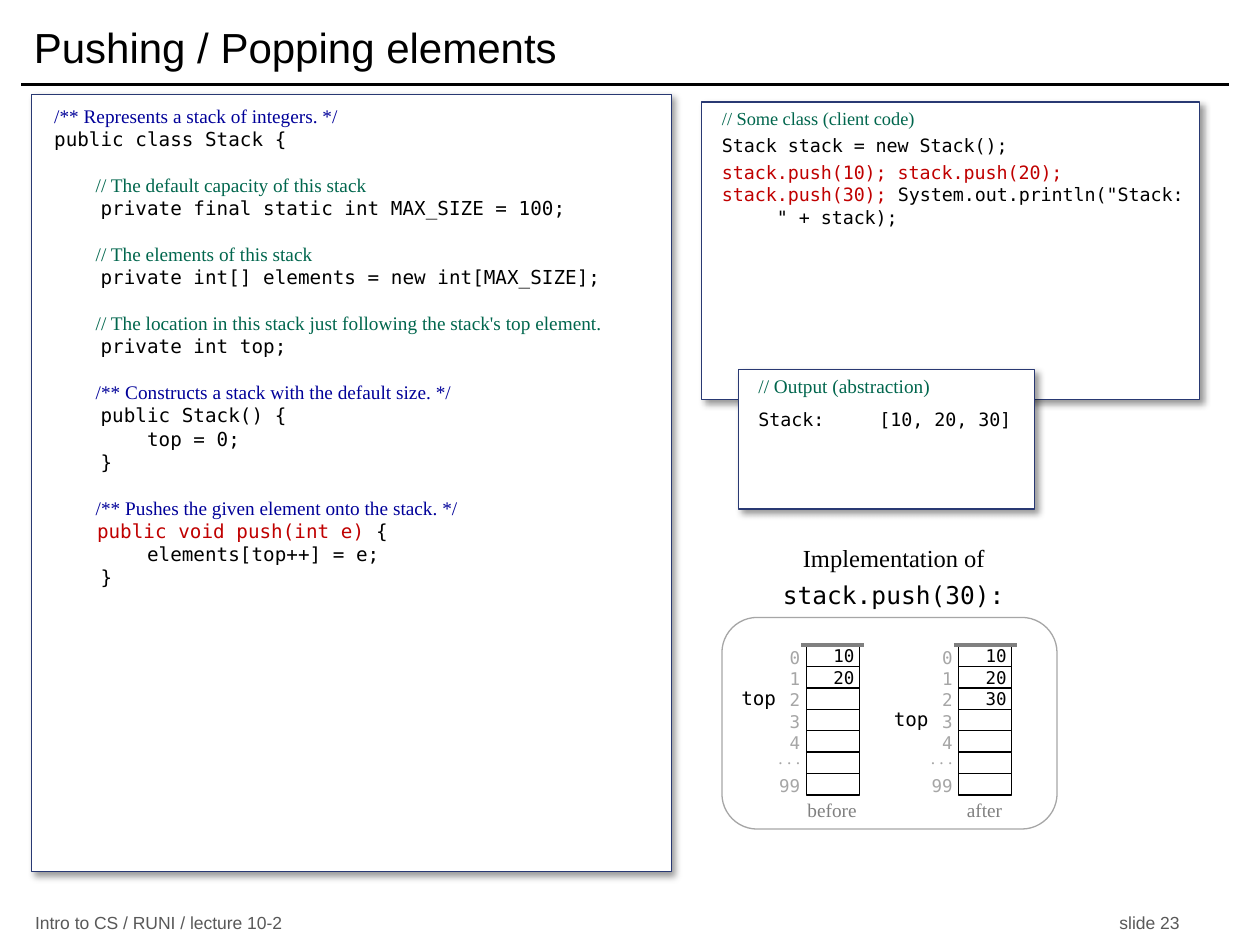
from dataclasses import dataclass
from lxml import etree
from pptx import Presentation
from pptx.dml.color import RGBColor as RGB
from pptx.enum.shapes import MSO_CONNECTOR as Conn, MSO_SHAPE as Kind
from pptx.enum.text import MSO_ANCHOR as Anchor, PP_ALIGN as Align
from pptx.oxml.ns import qn
from pptx.util import Inches, Pt


@dataclass(frozen=True)
class Theme:
    sans: str = "Arial"
    serif: str = "Times New Roman"
    mono: str = "DejaVu Sans Mono"
    black: str = "000000"
    white: str = "FFFFFF"
    navy: str = "293973"
    blue: str = "000099"
    green: str = "00664D"
    red: str = "C00000"
    dark: str = "595959"
    gray: str = "808080"
    pale: str = "A6A6A6"
    title: float = 24
    head: float = 14
    body: float = 11
    code: float = 10.5
    small: float = 10


@dataclass
class Line:
    runs: list
    font: str
    size: float
    gap: float = 0
    left: float = 0
    tab: float = 0


T = Theme()


def mono(text, tone=T.black, size=T.body, **more):
    return Line([(text, tone)], T.mono, size, **more)


def note(text, tone=T.green, size=T.body, **more):
    return Line([(text, tone)], T.serif, size, **more)


class Deck:
    """Holds the theme and the slide being drawn."""

    def __init__(self, theme):
        self.theme = theme
        self.file = Presentation()
        self.file.slide_width, self.file.slide_height = Inches(10), Inches(7.5)
        self.slide = self.file.slides.add_slide(self.file.slide_layouts[6])

    def label(self, shape, lines, pad, align=Align.LEFT, anchor=Anchor.TOP):
        frame = shape.text_frame
        frame.word_wrap = True
        frame.vertical_anchor = anchor
        (frame.margin_left, frame.margin_top,
         frame.margin_right, frame.margin_bottom) = map(Inches, pad)
        for i, line in enumerate(lines):
            para = frame.add_paragraph() if i else frame.paragraphs[0]
            para.alignment = align
            if line.gap:
                para.space_before = Pt(line.gap)
            props = para._p.get_or_add_pPr()
            if line.left:
                props.set("marL", str(Inches(line.left)))
                props.set("indent", "0")
            if line.tab:
                tabs = etree.SubElement(props, qn("a:tabLst"))
                etree.SubElement(tabs, qn("a:tab"), pos=str(Inches(line.tab)), algn="l")
            para.font.name, para.font.size = line.font, Pt(line.size)
            runs = [(para.add_run(), text, tone) for text, tone in line.runs]
            for run, text, tone in runs:
                run.text = text
                font = run.font if len(runs) > 1 else para.font
                font.color.rgb = RGB.from_string(tone)

    def text(self, spot, line, align=Align.LEFT, pad=(0.1, 0, 0.04, 0)):
        lines = line if isinstance(line, list) else [line]
        box = self.slide.shapes.add_textbox(*map(Inches, spot))
        self.label(box, lines, pad, align, Anchor.MIDDLE)

    def shape(self, spot, edge, kind=Kind.RECTANGLE):
        shape = self.slide.shapes.add_shape(kind, *map(Inches, spot))
        shape.shadow.inherit = False
        shape.fill.solid()
        shape.fill.fore_color.rgb = RGB.from_string(self.theme.white)
        shape.line.color.rgb = RGB.from_string(edge)
        shape.line.width = Pt(0.75)
        return shape

    def panel(self, spot, lines, pad):
        panel = self.shape(spot, self.theme.navy)
        glow = etree.SubElement(
            panel._element.spPr.find(qn("a:effectLst")), qn("a:outerShdw"),
            blurRad=str(Pt(4)), dist=str(Pt(3)), dir="2700000", algn="tl", rotWithShape="0")
        tone = etree.SubElement(glow, qn("a:srgbClr"), val=self.theme.black)
        etree.SubElement(tone, qn("a:alpha"), val="40000")
        self.label(panel, lines, pad)

    def rule(self, x, y, end, tone, width):
        rule = self.slide.shapes.add_connector(
            Conn.STRAIGHT, Inches(x), Inches(y), Inches(end), Inches(y))
        rule.line.color.rgb = RGB.from_string(tone)
        rule.line.width = Pt(width)
        etree.SubElement(rule._element.spPr, qn("a:effectLst"))

    def stack(self, x, vals, name):
        t, y, wide, high = self.theme, 5.12, 0.42, 0.17
        for i, key in enumerate(["0", "1", "2", "3", "4", ". . .", "99"]):
            row = y + i * high
            cell = self.shape((x, row, wide, high), t.black)
            if i < len(vals):
                self.label(cell, [mono(vals[i], size=t.small)], (0.1, 0, 0.04, 0),
                           Align.RIGHT, Anchor.MIDDLE)
            dots = key.startswith(".")
            make, lift = (note, -0.04) if dots else (mono, 0.01)
            self.text((x - 0.43, row + lift, wide, high),
                      make(key, t.pale, t.small), Align.RIGHT)
        self.text((x - 0.62, y - 0.02 + len(vals) * high, wide, 0.19),
                  mono("top"), Align.RIGHT)
        self.rule(x - 0.04, y, x + 0.46, t.gray, 2.5)
        self.text((x - 0.24, 6.33, 0.83, 0.19), note(name, t.gray), Align.CENTER)


def main():
    deck = Deck(T)
    edge = (0.1, 0.05, 0.1, 0.05)
    deck.rule(0.17, 0.67, 9.75, T.black, 2)
    deck.text((0.17, 0.08, 9.58, 0.58),
              Line([("Pushing / Popping elements", T.black)], T.sans, T.title), pad=edge)
    for x, words, align in [(0.18, "Intro to CS / RUNI / lecture 10-2", Align.LEFT),
                            (6.46, "slide 23", Align.RIGHT)]:
        deck.text((x, 7.23, 3, 0.19), Line([(words, T.dark)], T.sans, T.small), align, edge)

    step = dict(gap=13, left=0.33)
    deck.panel((0.25, 0.75, 5.08, 6.17), [
        note("/** Represents a stack of integers. */", T.blue),
        mono("public class Stack {"),
        note("// The default capacity of this stack", **step),
        mono("    private final static int MAX_SIZE = 100;"),
        note("// The elements of this stack", **step),
        mono("    private int[] elements = new int[MAX_SIZE];"),
        note("// The location in this stack just following the stack's top element.", **step),
        mono("    private int top;"),
        note("/** Constructs a stack with the default size. */", T.blue, **step),
        mono("    public Stack() {"),
        mono("        top = 0;"),
        mono("    }"),
        note("/** Pushes the given element onto the stack. */", T.blue, **step),
        Line([("public void push(int e) ", T.red), ("{", T.black)], T.mono, T.body, left=0.34),
        mono("        elements[top++] = e;"),
        mono("    }"),
    ], (0.18, 0.08, 0, 0))
    deck.panel((5.57, 0.81, 3.95, 2.36), [
        note("// Some class (client code)", size=T.code),
        mono("Stack stack = new Stack();", size=T.code, gap=3),
        Line([("stack.push(10); stack.push(20); stack.push(30); ", T.red),
              ('System.out.println("Stack:       " + stack);', T.black)], T.mono, T.code, gap=3),
    ], (0.16, 0.04, 0, 0))
    deck.panel((5.86, 2.93, 2.35, 1.11), [
        note("// Output (abstraction)"),
        mono("Stack:\t[10, 20, 30]", size=T.code, gap=6, tab=0.96),
    ], (0.16, 0.04, 0, 0))

    deck.text((5.42, 4.31, 3.29, 0.53), [
        note("Implementation of", T.black, T.head),
        mono("stack.push(30):", size=T.head, gap=4),
    ], Align.CENTER)
    deck.shape((5.73, 4.9, 2.66, 1.68), T.pale, Kind.ROUNDED_RECTANGLE)
    vals = ["10", "20", "30"]
    deck.stack(6.4, vals[:2], "before")
    deck.stack(7.61, vals, "after")
    deck.file.save("out.pptx")


if __name__ == "__main__":
    main()
